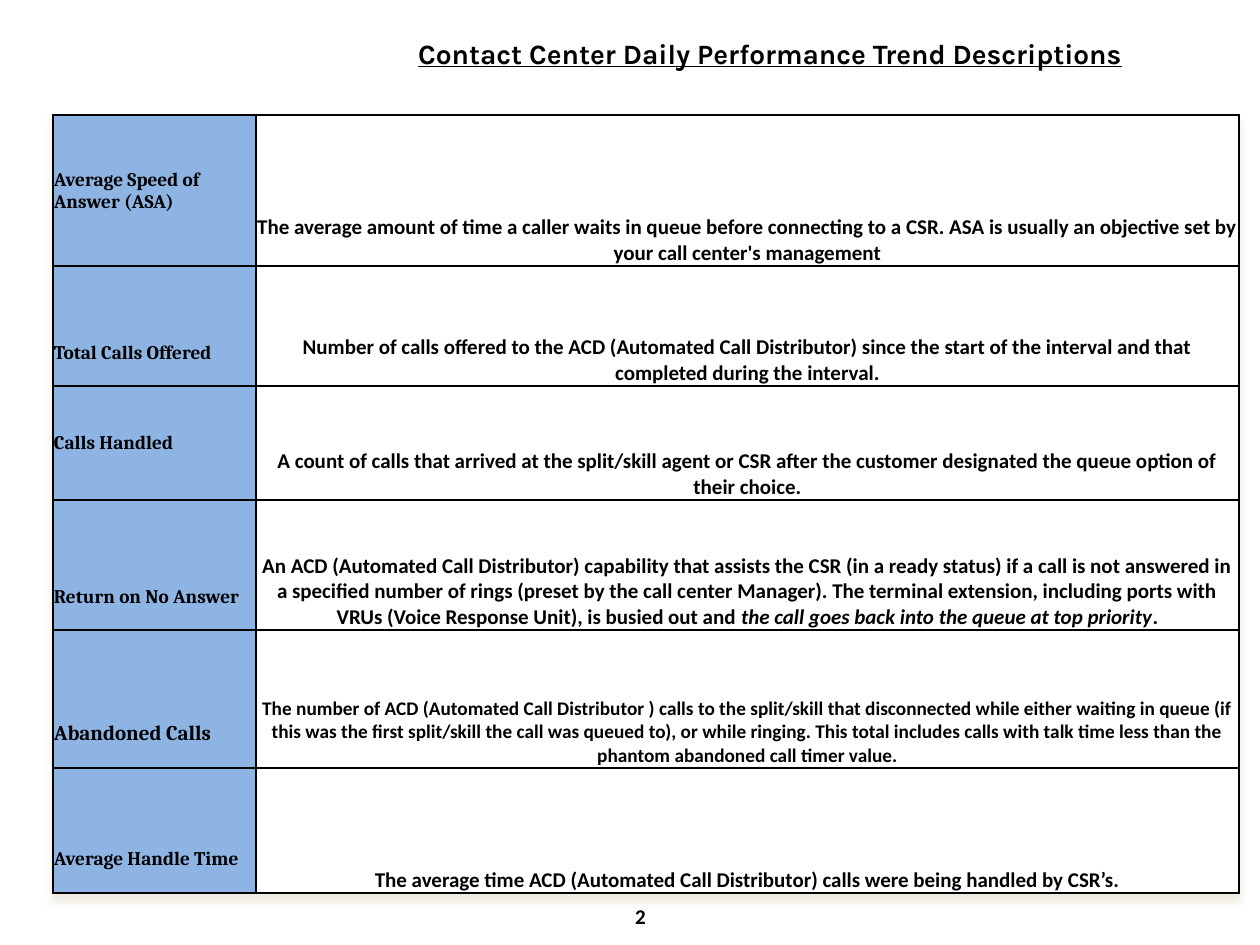
from lxml.etree import SubElement
from pptx import Presentation
from pptx.dml.color import RGBColor
from pptx.enum.text import MSO_ANCHOR, PP_ALIGN
from pptx.oxml import parse_xml
from pptx.oxml.ns import nsdecls, qn
from pptx.util import Pt

PX = 914400 / 126


def px(length):
    return round(length * PX)


def style(paragraph, font_name, size, color="000000", align=PP_ALIGN.CENTER):
    paragraph.alignment = align
    font = paragraph.font
    font.name, font.size, font.bold = font_name, Pt(size), True
    font.color.rgb = RGBColor.from_string(color)


presentation = Presentation()
presentation.slide_width, presentation.slide_height = px(1260), px(945)
slide = presentation.slides.add_slide(presentation.slide_layouts[6])

# Title and page number
for text, box, font_name, size, underline in [
    ("Contact Center Daily Performance Trend Descriptions", (325, 23, 890, 60), "Karla", 16, True),
    ("2", (441, 907, 399, 19), "Calibri", 12, False),
]:
    frame = slide.shapes.add_textbox(*map(px, box)).text_frame
    frame.word_wrap = True
    frame.vertical_anchor = MSO_ANCHOR.MIDDLE
    paragraph = frame.paragraphs[0]
    paragraph.text = text
    style(paragraph, font_name, size)
    paragraph.font.underline = underline

# Rows: height, label, label size, label anchor, description runs, description size
MIDDLE, BOTTOM = MSO_ANCHOR.MIDDLE, MSO_ANCHOR.BOTTOM
rows = [
    (151, "Average Speed of Answer (ASA)", 11, MIDDLE,
     ["The average amount of time a caller waits in queue before connecting to a CSR. "
      "ASA is usually an objective set by your call center's management"], 12),
    (120, "Total Calls Offered", 11, BOTTOM,
     ["Number of calls offered to the ACD (Automated Call Distributor) since the start of "
      "the interval and that completed during the interval."], 12),
    (114, "Calls Handled", 11, MIDDLE,
     ["A count of calls that arrived at the split/skill agent or CSR after the customer "
      "designated the queue option of their choice."], 12),
    (130, "Return on No Answer", 11, BOTTOM,
     ["An ACD (Automated Call Distributor) capability that assists the CSR (in a ready status) "
      "if a call is not answered in a specified number of rings (preset by the call center "
      "Manager). The terminal extension, including ports with VRUs (Voice Response Unit), "
      "is busied out and ",
      "the call goes back into the queue at top priority", "."], 12),
    (138, "Abandoned Calls", 12, BOTTOM,
     ["The number of ACD (Automated Call Distributor ) calls to the split/skill that "
      "disconnected while either waiting in queue (if this was the first split/skill the call "
      "was queued to), or while ringing. This total includes calls with talk time less than "
      "the phantom abandoned call timer value."], 11),
    (125, "Average Handle Time", 11, BOTTOM,
     ["The average time ACD (Automated Call Distributor) calls were being handled by CSR’s."], 12),
]

# Table grid
column_widths = [203, 983]
height = sum(row[0] for row in rows)
table = slide.shapes.add_table(
    len(rows), 2, px(53), px(115), px(sum(column_widths)), px(height)).table
table.first_row = table.horz_banding = False
for column, width in zip(table.columns, column_widths):
    column.width = px(width)

# Soft shadow under the table
table_properties = table._tbl.tblPr
table_properties.insert(0, parse_xml(
    f'<a:effectLst {nsdecls("a")}><a:outerShdw blurRad="50800" dist="50800" dir="5400000">'
    '<a:srgbClr val="EEECE1"/></a:outerShdw></a:effectLst>'))

# Cell contents
for index, (row_height, label, label_size, anchor, description, size) in enumerate(rows):
    table.rows[index].height = px(row_height)
    label_cell, description_cell = table.cell(index, 0), table.cell(index, 1)

    paragraph = label_cell.text_frame.paragraphs[0]
    paragraph.text = label
    style(paragraph, "Cambria", label_size, align=PP_ALIGN.LEFT)

    paragraph = description_cell.text_frame.paragraphs[0]
    for run_index, text in enumerate(description):
        run = paragraph.add_run()
        run.text = text
        if run_index == 1:
            run.font.italic = True
    style(paragraph, "Calibri", size)

    label_cell.vertical_anchor = anchor
    description_cell.vertical_anchor = BOTTOM
    for cell, fill in [(label_cell, "8EB4E3"), (description_cell, "FFFFFF")]:
        cell.margin_left = cell.margin_right = cell.margin_top = px(1)
        cell.margin_bottom = 0
        cell_properties = cell._tc.get_or_add_tcPr()
        for side in ("lnL", "lnR", "lnT", "lnB"):
            line = SubElement(cell_properties, qn(f"a:{side}"), w=str(Pt(1)))
            line_fill = SubElement(line, qn("a:solidFill"))
            SubElement(line_fill, qn("a:srgbClr"), val="000000")
        cell.fill.solid()
        cell.fill.fore_color.rgb = RGBColor.from_string(fill)
    if anchor == BOTTOM:
        label_cell.margin_bottom = px(22)

presentation.save("out.pptx")
